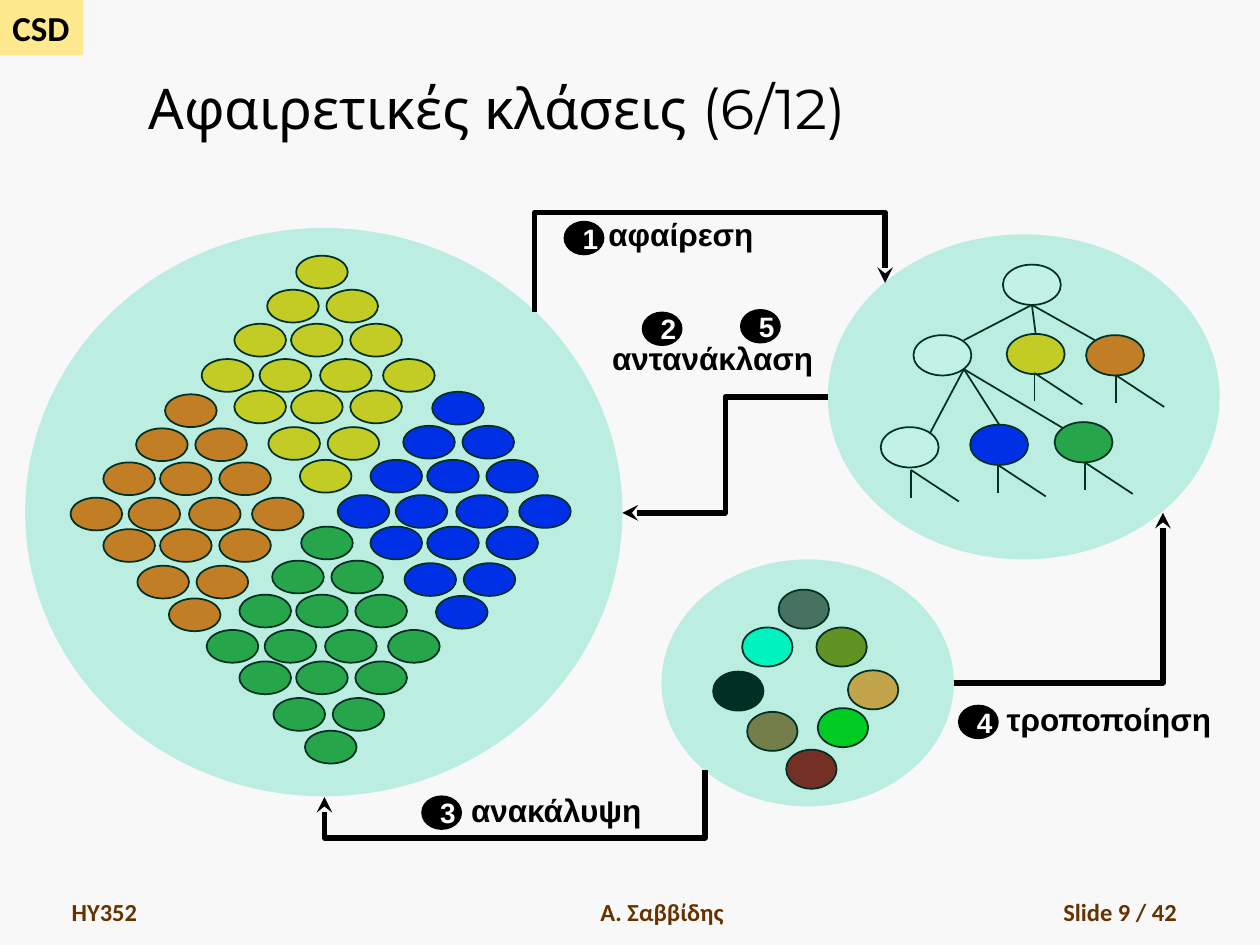
import lxml.etree
import pptx
import pptx.dml.color
import pptx.enum.shapes
import pptx.enum.text
import pptx.oxml.ns
import pptx.util

Inches = pptx.util.Inches
SHAPES = pptx.enum.shapes.MSO_SHAPE
LINES = pptx.enum.shapes.MSO_CONNECTOR
ALIGN = pptx.enum.text.PP_ALIGN
ANCHOR = pptx.enum.text.MSO_ANCHOR
qn = pptx.oxml.ns.qn

COLORS = {
    "paper": "F8F8F8", "tag": "FFE98F", "footer": "663300", "black": "000000",
    "white": "FFFFFF", "cloud": "00CC99", "yellow": "FFCC00", "green": "339933",
    "orange": "FF6600", "blue": "0000FF", "slate": "5E574E", "olive": "808000",
    "amber": "FF9933", "lime": "00CC00", "aqua": "00FFCC", "brown": "996633",
    "maroon": "990000",
}


def color(name):
    """Return the named colour."""
    return pptx.dml.color.RGBColor.from_string(COLORS[name])


def add_child(parent, tag, **attributes):
    """Append a DrawingML element to parent."""
    return lxml.etree.SubElement(parent, qn(tag), attributes)


def write(shape, text, font="Arial", size=18, ink="black", bold=True,
          align=ALIGN.LEFT, anchor=ANCHOR.TOP, wrap=False):
    """Put one formatted paragraph into a shape."""
    frame = shape.text_frame
    frame.word_wrap = wrap
    frame.vertical_anchor = anchor
    para = frame.paragraphs[0]
    para.alignment = align
    span = para.add_run()
    span.text = text
    span.font.name = font
    span.font.size = pptx.util.Pt(size)
    span.font.bold = bold
    span.font.color.rgb = color(ink)


class Sketch:
    """Draws elements in one style on the current slide."""

    thin, thick = pptx.util.Pt(1), pptx.util.Pt(3)

    def __init__(self, page):
        """Keep the slide and paint its background."""
        self.page = page
        page.background.fill.solid()
        page.background.fill.fore_color.rgb = color("paper")

    def shape(self, kind, left, top, width, height, fill, outlined=True):
        """Add a filled preset shape."""
        shape = self.page.shapes.add_shape(
            kind, Inches(left), Inches(top), Inches(width), Inches(height))
        shape.shadow.inherit = False
        shape.fill.solid()
        shape.fill.fore_color.rgb = color(fill)
        if outlined:
            shape.line.color.rgb = color("black")
            shape.line.width = self.thin
        else:
            shape.line.fill.background()
        return shape

    def ball(self, left, top, width, height, fill):
        """Add an outlined ellipse."""
        return self.shape(SHAPES.OVAL, left, top, width, height, fill)

    def cloud(self, left, top, width, height):
        """Add a translucent ellipse over a family of balls."""
        shape = self.shape(SHAPES.OVAL, left, top, width, height, "cloud", False)
        tint = shape.element.spPr.find(qn("a:solidFill"))[0]
        add_child(tint, "a:alpha", val="24000")

    def badge(self, left, top, digit):
        """Add a numbered black ellipse."""
        shape = self.ball(left, top, 0.31, 0.26, "black")
        write(shape, digit, size=16, ink="white", anchor=ANCHOR.MIDDLE)

    def text(self, left, top, width, height, text, **style):
        """Add a text box."""
        box = self.page.shapes.add_textbox(
            Inches(left), Inches(top), Inches(width), Inches(height))
        write(box, text, **style)

    def line(self, start, end, kind=LINES.STRAIGHT, width=thin):
        """Add a black connector without a shadow."""
        line = self.page.shapes.add_connector(
            kind, *(Inches(value) for value in (*start, *end)))
        line.line.color.rgb = color("black")
        line.line.width = width
        add_child(line.element.spPr, "a:effectLst")
        return line

    def elbow(self, start, end, turn=0, bend=None):
        """Add a bent arrow; without a bend it has a single corner."""
        properties = self.line(start, end, LINES.ELBOW, self.thick).element.spPr
        properties.find(qn("a:xfrm")).set("rot", str(turn * 60000))
        add_child(properties.find(qn("a:ln")), "a:tailEnd", type="stealth",
                  w="med", len="med")
        geometry = properties.find(qn("a:prstGeom"))
        if bend is None:
            geometry.set("prst", "bentConnector2")
        else:
            add_child(geometry.find(qn("a:avLst")), "a:gd", name="adj1",
                      fmla=f"val {round(bend * 100000)}")


deck = pptx.Presentation()
deck.slide_width, deck.slide_height = Inches(10), Inches(7.5)
sketch = Sketch(deck.slides.add_slide(deck.slide_layouts[6]))

tag = sketch.shape(SHAPES.RECTANGLE, 0, 0, 0.66, 0.44, "tag", False)
write(tag, "CSD", font="Calibri", size=20)
sketch.text(1.08, 0.17, 8.92, 1, "Αφαιρετικές κλάσεις (6/12)", font="Montserrat",
            size=32, bold=False, anchor=ANCHOR.BOTTOM, wrap=True)
for left, width, footer, align in (
        (0.47, 2.19, "HY352", ALIGN.LEFT),
        (3.67, 3.17, "Α. Σαββίδης", ALIGN.CENTER),
        (7.36, 2.08, "Slide 9 / 42", ALIGN.RIGHT)):
    sketch.text(left, 6.9, width, 0.5, footer, font="Calibri", size=14,
                ink="footer", align=align, anchor=ANCHOR.BOTTOM, wrap=True)

# Four diamonds of objects, each row given as its drop and its sideways steps
DIAMOND_ROWS = (
    (0, (0,)),
    (0.27, (-0.23, 0.24)),
    (0.54, (-0.49, -0.04, 0.43)),
    (0.82, (-0.75, -0.29, 0.19, 0.69)),
    (1.07, (-0.49, -0.04, 0.43)),
    (1.36, (-0.22, 0.25)),
    (1.62, (0.03,)),
)
for left, top, fill in ((2.35, 2.03, "yellow"), (2.39, 4.18, "green"),
                        (1.31, 3.13, "orange"), (3.43, 3.11, "blue")):
    for drop, steps in DIAMOND_ROWS:
        for step in steps:
            sketch.ball(left + step, top + drop, 0.41, 0.26, fill)
sketch.cloud(0.2, 1.81, 4.74, 4.51)

# Class tree
for left, top, fill in (
        (7.96, 2.1, "white"), (7.25, 2.66, "white"), (7.99, 2.65, "yellow"),
        (8.62, 2.66, "orange"), (6.99, 3.39, "white"), (7.7, 3.37, "blue"),
        (8.37, 3.35, "green")):
    sketch.ball(left, top, 0.46, 0.32, fill)
BRANCHES = {
    (8.19, 2.42): ((7.65, 2.7), (8.22, 2.65), (8.69, 2.7)),
    (7.65, 2.93): ((7.38, 3.44), (7.93, 3.37), (8.44, 3.4)),
}
for x, y in ((7.23, 3.73), (7.92, 3.69), (8.61, 3.67), (8.86, 2.98), (8.21, 2.96)):
    BRANCHES[x, y] = ((x, y + 0.22), (x + 0.38, y + 0.25))
for parent, children in BRANCHES.items():
    for child in children:
        sketch.line(parent, child)
sketch.cloud(6.57, 1.86, 3.11, 2.58)

# Ring of mixed objects
for left, top, fill in (
        (6.18, 4.68, "slate"), (6.48, 4.98, "olive"), (6.73, 5.32, "amber"),
        (6.49, 5.62, "lime"), (5.89, 4.98, "aqua"), (5.66, 5.33, "black"),
        (5.93, 5.65, "brown"), (6.24, 5.95, "maroon")):
    sketch.ball(left, top, 0.4, 0.31, fill)
sketch.cloud(5.25, 4.44, 2.32, 1.96)

# Arrows between the families, with corners given before turning
sketch.elbow((5.52, 0.97), (5.75, 3.75), turn=270, bend=3.44)
sketch.elbow((3.98, 4.71), (4.19, 7.73), turn=90, bend=2.55)
sketch.elbow((7.57, 5.42), (9.23, 4.07))
sketch.elbow((4.94, 4.07), (6.57, 3.15), turn=180, bend=0.5)

for left, top, width, label in (
        (4.73, 1.66, 1.36, "αφαίρεση"), (4.76, 2.64, 1.81, "αντανάκλαση"),
        (3.64, 6.23, 1.57, "ανακάλυψη"), (7.89, 5.51, 1.85, "τροποποίηση")):
    sketch.text(left, top, width, 0.4, label)
for number, (left, top) in enumerate(
        ((4.48, 1.76), (5.1, 2.48), (3.35, 6.32), (7.61, 5.6), (5.88, 2.46)), 1):
    sketch.badge(left, top, str(number))

deck.save("out.pptx")
